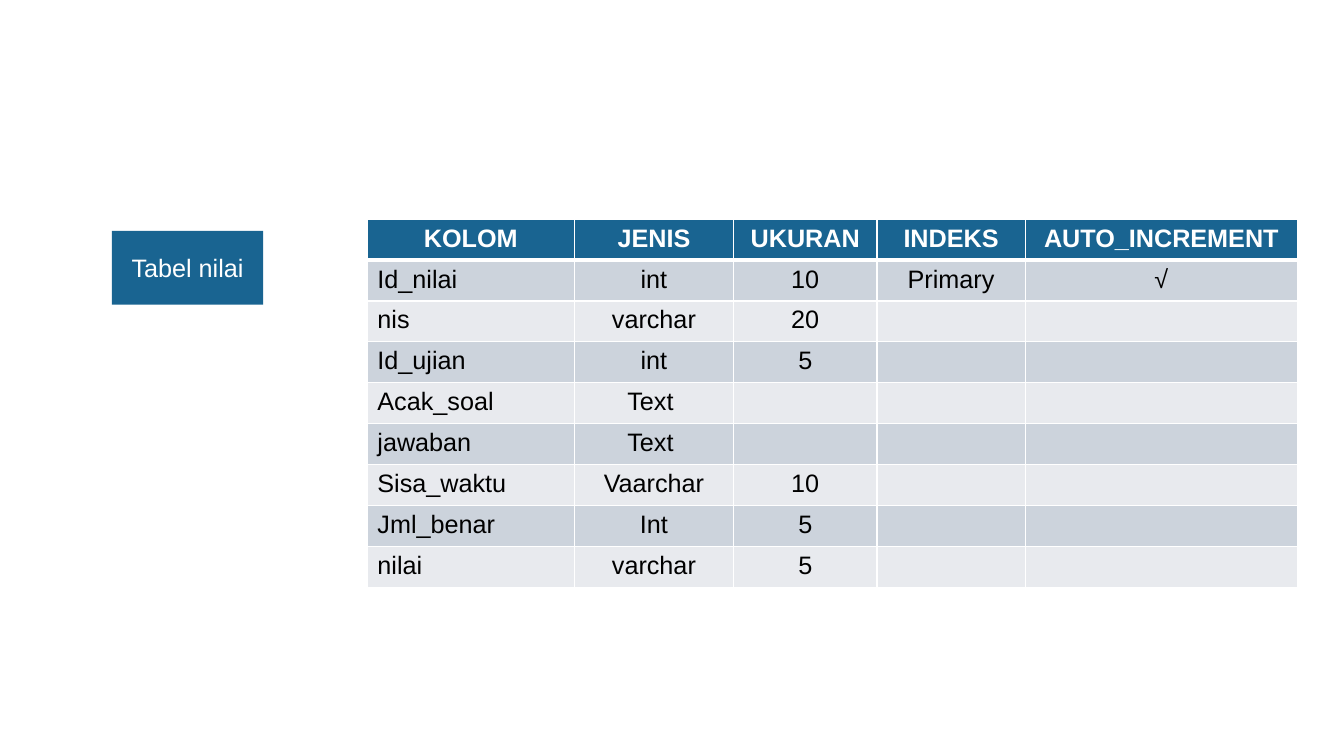
from dataclasses import dataclass

from lxml.etree import SubElement
from pptx import Presentation
from pptx.dml.color import RGBColor
from pptx.enum.shapes import MSO_SHAPE
from pptx.enum.text import MSO_ANCHOR, PP_ALIGN
from pptx.oxml.ns import qn
from pptx.slide import Slide
from pptx.table import _Cell
from pptx.text.text import TextFrame
from pptx.util import Pt

BLUE = RGBColor(0x19, 0x64, 0x91)
DARK_BAND = RGBColor(0xCC, 0xD3, 0xDC)
LIGHT_BAND = RGBColor(0xE8, 0xEA, 0xEE)
WHITE = RGBColor(0xFF, 0xFF, 0xFF)
BLACK = RGBColor(0x00, 0x00, 0x00)

ROW_HEIGHT = 29.2
TABLE_LEFT, TABLE_TOP = 262.4, 156.6


@dataclass(frozen=True)
class Column:
    title: str
    width: float
    align: PP_ALIGN = PP_ALIGN.CENTER


@dataclass(frozen=True)
class Field:
    name: str
    kind: str
    size: str = ""
    index: str = ""
    increment: str = ""

    def values(self) -> list[str]:
        return [self.name, self.kind, self.size, self.index, self.increment]


COLUMNS = [
    Column("KOLOM", 147.8, PP_ALIGN.LEFT),
    Column("JENIS", 113.8),
    Column("UKURAN", 102.4),
    Column("INDEKS", 106),
    Column("AUTO_INCREMENT", 194.4),
]

FIELDS = [
    Field("Id_nilai", "int", "10", "Primary", "√"),
    Field("nis", "varchar", "20"),
    Field("Id_ujian", "int", "5"),
    Field("Acak_soal", "Text "),
    Field("jawaban", "Text "),
    Field("Sisa_waktu", "Vaarchar", "10"),
    Field("Jml_benar", "Int", "5"),
    Field("nilai", "varchar", "5"),
]


def write_text(frame: TextFrame, text: str, color: RGBColor,
               align: PP_ALIGN = PP_ALIGN.CENTER, bold: bool = False) -> None:
    para = frame.paragraphs[0]
    para.alignment = align
    if not text:
        return
    span = para.add_run()
    span.text = text
    span.font.color.rgb = color
    for name, value in {"name": "Arial", "size": Pt(18), "bold": bold}.items():
        setattr(span.font, name, value)


def draw_borders(cell: _Cell, top: float, bottom: float) -> None:
    properties = cell._tc.get_or_add_tcPr()
    for side, width in {"lnL": 1, "lnR": 1, "lnT": top, "lnB": bottom}.items():
        line = SubElement(properties, qn(f"a:{side}"), w=str(Pt(width)))
        fill = SubElement(line, qn("a:solidFill"))
        SubElement(fill, qn("a:srgbClr"), val=str(WHITE))


def draw_table(page: Slide) -> None:
    rows = [[column.title for column in COLUMNS]] + [field.values() for field in FIELDS]
    table = page.shapes.add_table(
        len(rows), len(COLUMNS), Pt(TABLE_LEFT), Pt(TABLE_TOP),
        Pt(sum(column.width for column in COLUMNS)), Pt(ROW_HEIGHT * len(rows)),
    ).table
    for index, column in enumerate(COLUMNS):
        table.columns[index].width = Pt(column.width)
    for row_index, values in enumerate(rows):
        table.rows[row_index].height = Pt(ROW_HEIGHT)
        header = row_index == 0
        band = BLUE if header else DARK_BAND if row_index % 2 else LIGHT_BAND
        for column_index, (column, text) in enumerate(zip(COLUMNS, values)):
            cell = table.cell(row_index, column_index)
            draw_borders(cell, top=3 if row_index == 1 else 1, bottom=3 if header else 1)
            cell.fill.solid()
            cell.fill.fore_color.rgb = band
            write_text(cell.text_frame, text, WHITE if header else BLACK,
                       PP_ALIGN.CENTER if header else column.align, header)


def draw_label(page: Slide) -> None:
    box = page.shapes.add_shape(MSO_SHAPE.RECTANGLE, Pt(80), Pt(165), Pt(108), Pt(52.6))
    box.shadow.inherit = False
    box.fill.solid()
    box.fill.fore_color.rgb = BLUE
    box.line.fill.background()
    box.text_frame.word_wrap = True
    box.text_frame.vertical_anchor = MSO_ANCHOR.MIDDLE
    write_text(box.text_frame, "Tabel nilai", WHITE)


def main() -> None:
    deck = Presentation()
    deck.slide_width, deck.slide_height = Pt(960), Pt(540)
    page = deck.slides.add_slide(deck.slide_layouts[6])
    draw_table(page)
    draw_label(page)
    deck.save("out.pptx")


if __name__ == "__main__":
    main()
